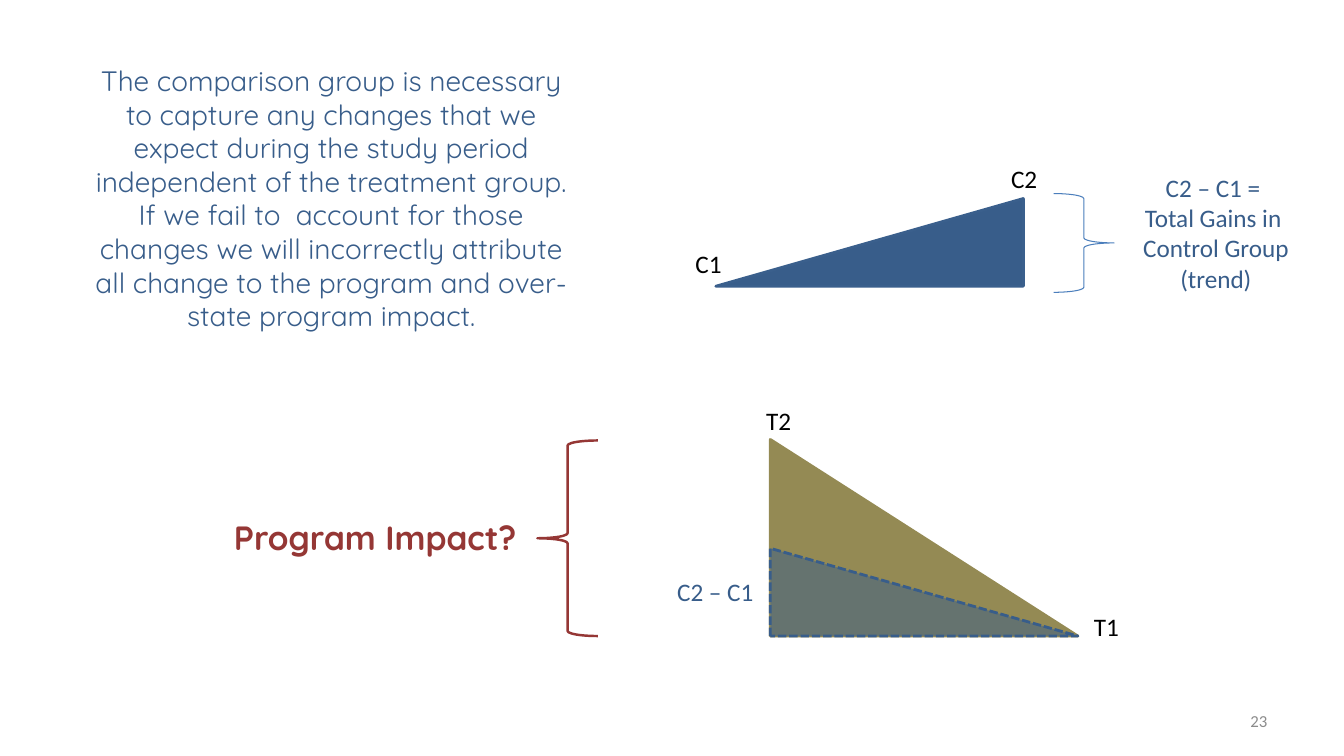
"""Build the slide on why a comparison group is needed to measure program impact."""
from lxml.etree import SubElement
from pptx import Presentation
from pptx.dml.color import RGBColor
from pptx.enum.dml import MSO_LINE
from pptx.enum.shapes import MSO_SHAPE as Shape
from pptx.enum.text import MSO_ANCHOR as Anchor, MSO_AUTO_SIZE as AutoSize, PP_ALIGN as Align
from pptx.oxml.ns import qn
from pptx.util import Pt

PX = 9144
BLACK = RGBColor(0x00, 0x00, 0x00)
GRAY = RGBColor(0x8C, 0x8C, 0x8C)
BLUE = RGBColor(0x38, 0x5D, 0x8A)
EDGE_BLUE = RGBColor(0x3A, 0x5F, 0x8C)
BRACE_BLUE = RGBColor(0x4B, 0x7E, 0xBC)
OLIVE = RGBColor(0x94, 0x8A, 0x54)
RED = RGBColor(0x95, 0x37, 0x35)

deck = Presentation()
deck.slide_width, deck.slide_height = 1333 * PX, 750 * PX
page = deck.slides.add_slide(deck.slide_layouts[6])


def add_figure(kind, place, fill, line, weight, flip=False):
    """Add a triangle or brace with its own fill and outline."""
    figure = page.shapes.add_shape(kind, *(value * PX for value in place))
    figure.shadow.inherit = False
    if fill is None:
        figure.fill.background()
    else:
        figure.fill.solid()
        figure.fill.fore_color.rgb = fill
    figure.line.color.rgb = line
    figure.line.width = Pt(weight)
    if flip:
        figure.element.spPr.find(qn("a:xfrm")).set("flipH", "1")
    return figure


def add_label(lines, place, size, color, font="Calibri", align=Align.LEFT, wrap=False, bold=False):
    """Add a text box with one paragraph and line breaks between its lines."""
    box = page.shapes.add_textbox(*(value * PX for value in place))
    frame = box.text_frame
    frame.word_wrap = wrap
    frame.auto_size = AutoSize.SHAPE_TO_FIT_TEXT
    para = frame.paragraphs[0]
    para.alignment = align
    for index, line in enumerate(lines):
        if index:
            para.add_line_break()
        span = para.add_run()
        span.text = line
        span.font.name = font
        span.font.size = Pt(size)
        span.font.bold = bold
        span.font.color.rgb = color
    return box


number = add_label(["23"], (956, 695, 311, 40), 12, GRAY, align=Align.RIGHT, wrap=True)
number.text_frame.auto_size = AutoSize.NONE
number.text_frame.vertical_anchor = Anchor.MIDDLE

add_figure(Shape.RIGHT_TRIANGLE, (764, 436, 305, 195), OLIVE, OLIVE, 2)
trend = add_figure(Shape.RIGHT_TRIANGLE, (764, 544, 305, 87), BLUE, BLUE, 2)
trend.line.dash_style = MSO_LINE.SQUARE_DOT
trend_color = trend.element.spPr.find(qn("a:solidFill"))[0]
SubElement(trend_color, qn("a:alpha")).set("val", "50000")
add_figure(Shape.RIGHT_TRIANGLE, (710, 197, 305, 87), BLUE, EDGE_BLUE, 2, flip=True)

add_figure(Shape.RIGHT_BRACE, (1045, 192, 60, 98), None, BRACE_BLUE, 0.75)
add_figure(Shape.RIGHT_BRACE, (533, 437, 60, 194), None, RED, 1.75, flip=True)

for name, left, top in (("C2", 993, 157), ("C1", 680, 241), ("T2", 750, 397), ("T1", 1075, 602)):
    add_label([name], (left, top, 46, 40), 18, BLACK)

add_label(["C2 – C1 = ", "Total Gains in ", "Control Group", "(trend)"],
          (1123, 166, 166, 131), 18, BLUE, align=Align.CENTER)
add_label(["C2 – C1"], (661, 567, 97, 40), 18, BLUE, align=Align.CENTER)
add_label(["Program Impact?"], (220, 508, 304, 50), 24, RED, "Quicksand", Align.CENTER, bold=True)
add_label(["The comparison group is necessary to capture any changes that we expect during "
           "the study period independent of the treatment group. If we fail to  account for "
           "those changes we will incorrectly attribute all change to the program and "
           "over-state program impact."],
          (74, 58, 509, 279), 20, BLUE, "Quicksand", Align.CENTER, wrap=True)

deck.save("out.pptx")
